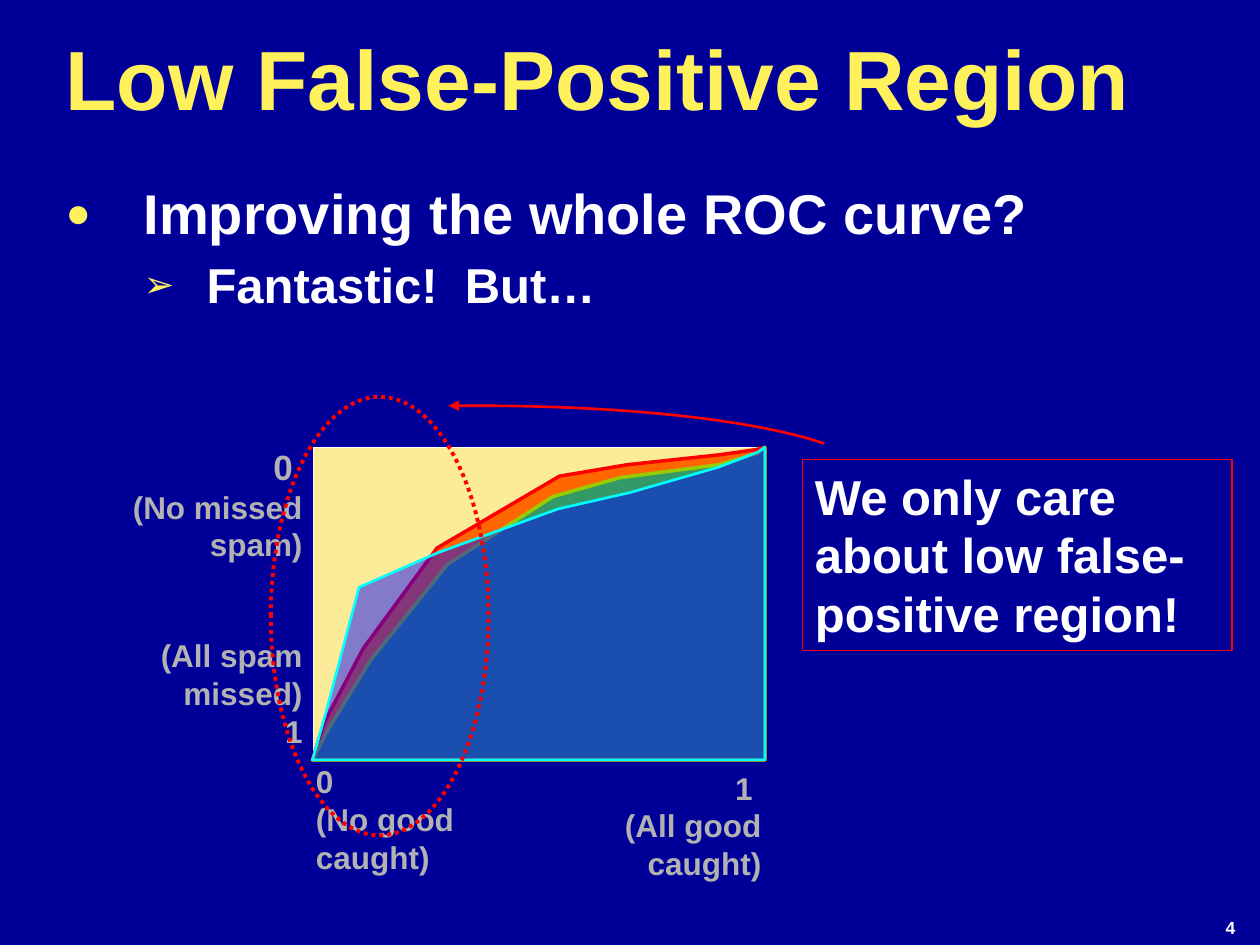
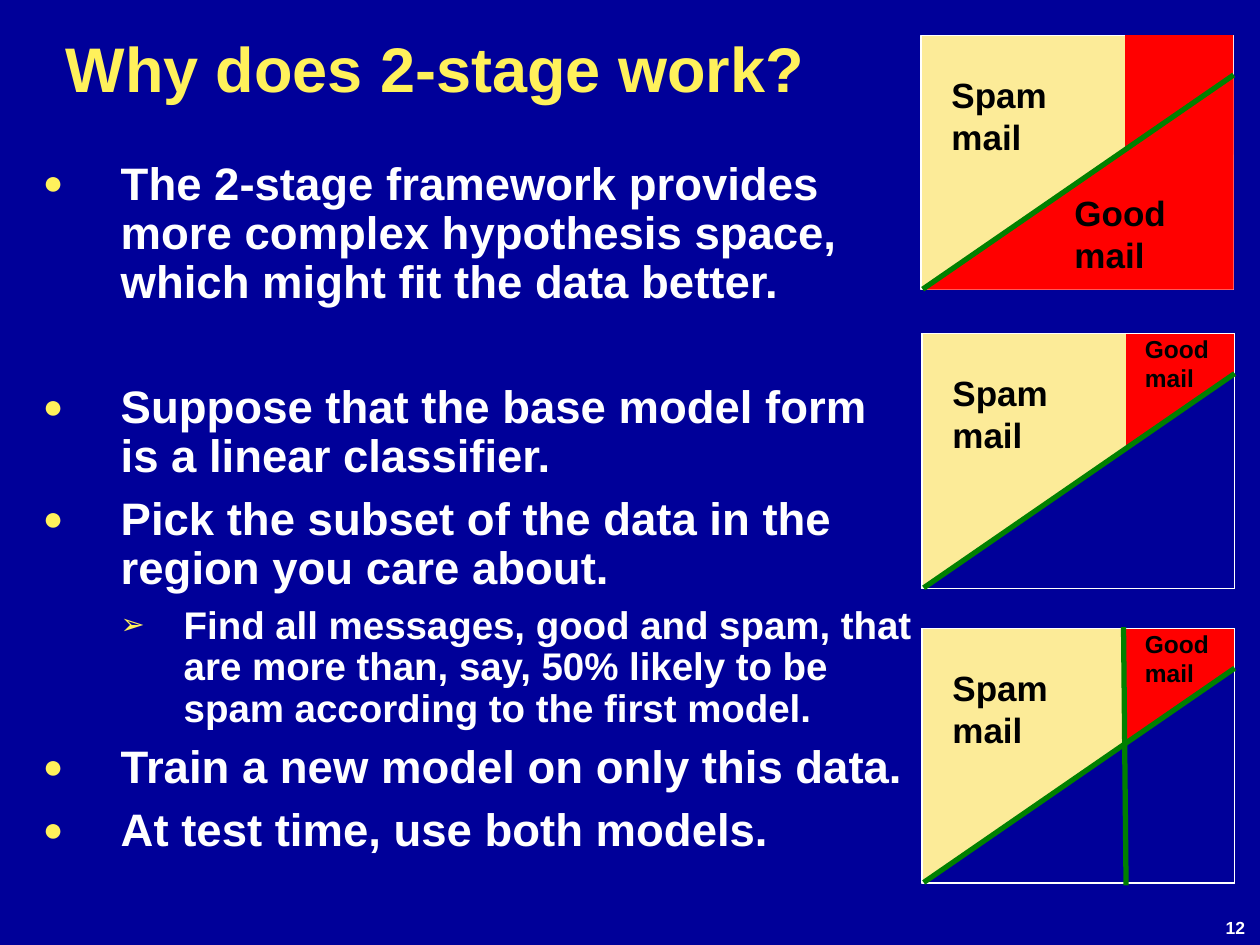
from lxml import etree
from pptx import Presentation
from pptx.dml.color import RGBColor
from pptx.enum.dml import MSO_LINE
from pptx.enum.shapes import MSO_CONNECTOR, MSO_SHAPE
from pptx.enum.text import MSO_ANCHOR, MSO_AUTO_SIZE, PP_ALIGN
from pptx.oxml.ns import qn
from pptx.util import Cm, Pt

RECTANGLE, ELLIPSE = MSO_SHAPE.RECTANGLE, MSO_SHAPE.OVAL
RIGHT_TRIANGLE = MSO_SHAPE.RIGHT_TRIANGLE
STRAIGHT = MSO_CONNECTOR.STRAIGHT
DOTTED = MSO_LINE.ROUND_DOT
TOP, MIDDLE = MSO_ANCHOR.TOP, MSO_ANCHOR.MIDDLE
LEFT, RIGHT = PP_ALIGN.LEFT, PP_ALIGN.RIGHT
FIXED_SIZE = MSO_AUTO_SIZE.NONE

COLORS = {
    "background": "000099", "title": "FFF15B", "text": "FFFFFF",
    "label": "B2B2B2", "dark": "000000", "cream": "FCEB98",
    "red": "FF0000", "orange": "FF6600", "green": "339966",
    "lime": "99CC00", "blue": "0000FF", "cyan": "00FFFF",
    "boundary": "008000",
}
# Bullet sign, left margin and hanging indent for each list level
LEVELS = [("●", 1.57, -1.57), ("➢", 2.84, -1.27)]


def color(name):
    return RGBColor.from_string(COLORS[name])


class Deck:
    def __init__(self):
        self.presentation = Presentation()
        self.presentation.slide_width = Cm(25.4)
        self.presentation.slide_height = Cm(19.05)
        fill = self.presentation.slide_master.background.fill
        fill.solid()
        fill.fore_color.rgb = color("background")
        self.slide = None

    def add_slide(self, title, title_size, title_height, number):
        layout = self.presentation.slide_layouts[1]
        self.slide = self.presentation.slides.add_slide(layout)
        shape = self.slide.shapes.title
        self.place(shape, (1.07, 0.64, 23.8, title_height))
        self.set_text(shape.text_frame, [(title, title_size)], "title",
                      anchor=MIDDLE, line_spacing=0.9)
        self.label((24.46, 18.36, 0.94, 0.69), [(number, 10)], "text")

    def place(self, shape, box):
        for name, value in zip(("left", "top", "width", "height"), box):
            setattr(shape, name, Cm(value))

    def set_text(self, frame, lines, font_color, anchor=TOP, **paragraph_format):
        """Fill a text frame with (text, size) lines."""
        frame_format = {"word_wrap": True, "auto_size": FIXED_SIZE,
                        "vertical_anchor": anchor}
        for name, value in frame_format.items():
            setattr(frame, name, value)
        paragraph_format = {"alignment": LEFT, "space_before": Pt(0),
                            **paragraph_format}
        for index, (text, size) in enumerate(lines):
            paragraph = frame.add_paragraph() if index else frame.paragraphs[0]
            for name, value in paragraph_format.items():
                setattr(paragraph, name, value)
            run = paragraph.add_run()
            run.text = text
            for name, value in {"name": "Arial", "size": Pt(size), "bold": True}.items():
                setattr(run.font, name, value)
            run.font.color.rgb = color(font_color)

    def bullets(self, box, items):
        """Fill the body with (text, size, level, space before) items."""
        body = self.slide.placeholders[1]
        self.place(body, box)
        self.set_text(body.text_frame, [item[:2] for item in items], "text",
                      line_spacing=0.9)
        for paragraph, (_, _, level, space) in zip(body.text_frame.paragraphs, items):
            sign, margin, indent = LEVELS[level]
            paragraph.level = level
            paragraph.space_before = Pt(space)
            properties = paragraph._p.get_or_add_pPr()
            properties.set("marL", str(Cm(margin)))
            properties.set("indent", str(Cm(indent)))
            bullet_color = etree.SubElement(properties, qn("a:buClr"))
            etree.SubElement(bullet_color, qn("a:srgbClr"), val=COLORS["title"])
            etree.SubElement(properties, qn("a:buSzPct"), val="75000")
            etree.SubElement(properties, qn("a:buFont"), typeface="Arial")
            etree.SubElement(properties, qn("a:buChar"), char=sign)

    def label(self, box, lines, font_color, alignment=LEFT):
        shape = self.slide.shapes.add_textbox(*map(Cm, box))
        self.set_text(shape.text_frame, lines, font_color, alignment=alignment)

    def paint(self, shape, fill=None, line=None, width=0.75):
        shape.shadow.inherit = False
        if fill:
            shape.fill.solid()
            shape.fill.fore_color.rgb = color(fill)
        else:
            shape.fill.background()
        if line:
            shape.line.color.rgb = color(line)
            shape.line.width = Pt(width)
        else:
            shape.line.fill.background()
        return shape

    def shape(self, kind, box, **style):
        return self.paint(self.slide.shapes.add_shape(kind, *map(Cm, box)), **style)

    def outline(self, points, close=True, **style):
        start, *rest = [(Cm(x), Cm(y)) for x, y in points]
        builder = self.slide.shapes.build_freeform(*start)
        builder.add_line_segments(rest, close=close)
        return self.paint(builder.convert_to_shape(), **style)

    def curved_arrow(self, points, line, width):
        """A straight start, then one curve; the arrowhead is at the start."""
        shape = self.outline(points, close=False, line=line, width=width)
        segments = list(shape._element.iter(qn("a:lnTo")))[-3:]
        curve = etree.Element(qn("a:cubicBezTo"))
        segments[0].addprevious(curve)
        for segment in segments:
            curve.append(segment[0])
            segment.getparent().remove(segment)
        outline = shape._element.spPr.find(qn("a:ln"))
        etree.SubElement(outline, qn("a:headEnd"), type="triangle")

    def line(self, start, end, line, width):
        connector = self.slide.shapes.add_connector(STRAIGHT, *map(Cm, start + end))
        connector.line.color.rgb = color(line)
        connector.line.width = Pt(width)
        etree.SubElement(connector._element.spPr, qn("a:effectLst"))

    def mail_panel(self, left, top, below, good_box, good_size, split=False):
        """Spam and good mail areas divided by a linear classifier."""
        def at(x, y, *size):
            return (left + x, top + y, *size)

        self.shape(RECTANGLE, at(0, 0, 6.3, 5.13), fill="cream", line="text")
        self.shape(RECTANGLE, at(4.11, 0, 2.18, 2.41), fill="red")
        triangle = self.shape(RIGHT_TRIANGLE, at(0.03, 0.81, 6.27, 4.32), fill=below)
        triangle._element.spPr.find(qn("a:xfrm")).set("flipH", "1")
        if below == "background":
            self.shape(RECTANGLE, at(0, 0, 6.3, 5.13), line="text")
        if split:
            self.line(at(4.11, 5.18), at(4.06, -0.03), "boundary", 3)
        self.line(at(0.03, 5.12), at(6.3, 0.8), "boundary", 3)
        self.label(at(0.36, 0.64, 3.33, 1.96), [("Spam mail", 20)], "dark")
        self.label(at(*good_box), [("Good mail", good_size)], "dark")


def build_region_slide(deck):
    deck.add_slide("Low False-Positive Region", 48, 2.08, "4")
    deck.bullets((1.07, 3.63, 23.83, 2.9), [
        ("Improving the whole ROC curve?", 32, 0, 0),
        ("Fantastic!  But…", 28, 1, 8.4),
    ])

    # ROC curves, each closed along the right and bottom edges
    deck.shape(RECTANGLE, (6.32, 9.02, 9.09, 6.3), fill="cream", line="text")
    corners = [(15.42, 9.02), (15.42, 15.32), (6.3, 15.32)]
    first_curve = [(6.53, 14.58), (7.32, 13.08), (8.81, 11.05), (11.28, 9.6),
                   (12.65, 9.37), (14.5, 9.17), (15.21, 9.07)]
    second_curve = [(6.6, 14.73), (7.47, 13.31), (9.02, 11.38), (11.15, 10.01),
                    (12.5, 9.63), (14.5, 9.37), (15.27, 9.14)]
    low_region_curve = [(6.58, 14.33), (7.24, 11.84), (8.81, 11.15), (11.25, 10.26),
                        (12.7, 9.93), (14.48, 9.42), (15.27, 9.12)]
    deck.outline(corners + first_curve, fill="orange", line="red", width=2)
    deck.outline(corners + second_curve, fill="green", line="lime", width=2)

    # Axis labels
    for box, lines, alignment in [
        ((0.99, 8.86, 5.36, 2.62), [("0 ", 20), ("(No missed spam)", 18)], RIGHT),
        ((0.99, 12.7, 5.36, 2.54), [("(All spam missed)", 18), ("1", 18)], RIGHT),
        ((6.12, 15.24, 4.09, 3.68), [("0", 18), ("(No good caught)", 18)], LEFT),
        ((10.24, 15.37, 5.36, 3.68), [("1 ", 18), ("(All good caught)", 18)], RIGHT),
    ]:
        deck.label(box, lines, "label", alignment)

    area = deck.outline(corners + low_region_curve, fill="blue", line="cyan", width=1.5)
    fill_color = area._element.spPr.find(qn("a:solidFill"))[0]
    etree.SubElement(fill_color, qn("a:alpha"), val="48000")

    # Marked region and its callout
    region = deck.shape(ELLIPSE, (5.46, 8, 4.39, 8.84), line="red", width=2.25)
    region.line.dash_style = DOTTED
    callout = deck.shape(RECTANGLE, (16.18, 9.27, 8.66, 3.84), line="red")
    deck.set_text(callout.text_frame,
                  [("We only care about low false-positive region!", 28)], "text")
    deck.curved_arrow([(9.04, 8.18), (9.65, 8.18), (12.55, 8.18), (15.21, 8.46),
                       (16.61, 8.94)], "red", 1.5)


def build_two_stage_slide(deck):
    deck.add_slide("Why does 2-stage work?", 36, 1.63, "12")
    deck.bullets((0.61, 3.12, 18.06, 14.63), [
        ("The 2-stage framework provides more complex hypothesis space, "
         "which might fit the data better.", 26, 0, 0),
        ("Suppose that the base model form is a linear classifier.", 26, 0, 43.5),
        ("Pick the subset of the data in the region you care about.", 26, 0, 7.8),
        ("Find all messages, good and spam, that are more than, say, 50% likely "
         "to be spam according to the first model.", 22, 1, 6.6),
        ("Train a new model on only this data.", 26, 0, 7.8),
        ("At test time, use both models.", 26, 0, 7.8),
    ])

    # The data, the subset kept, and the second model's split
    corner_label = (4.24, -0.12, 2.31, 1.45)
    deck.mail_panel(18.57, 0.71, "red", (2.84, 3.02, 3.33, 1.96), 20)
    deck.mail_panel(18.59, 6.73, "background", corner_label, 14)
    deck.mail_panel(18.59, 12.67, "background", corner_label, 14, split=True)


def main():
    deck = Deck()
    build_region_slide(deck)
    build_two_stage_slide(deck)
    deck.presentation.save("out.pptx")


if __name__ == "__main__":
    main()
